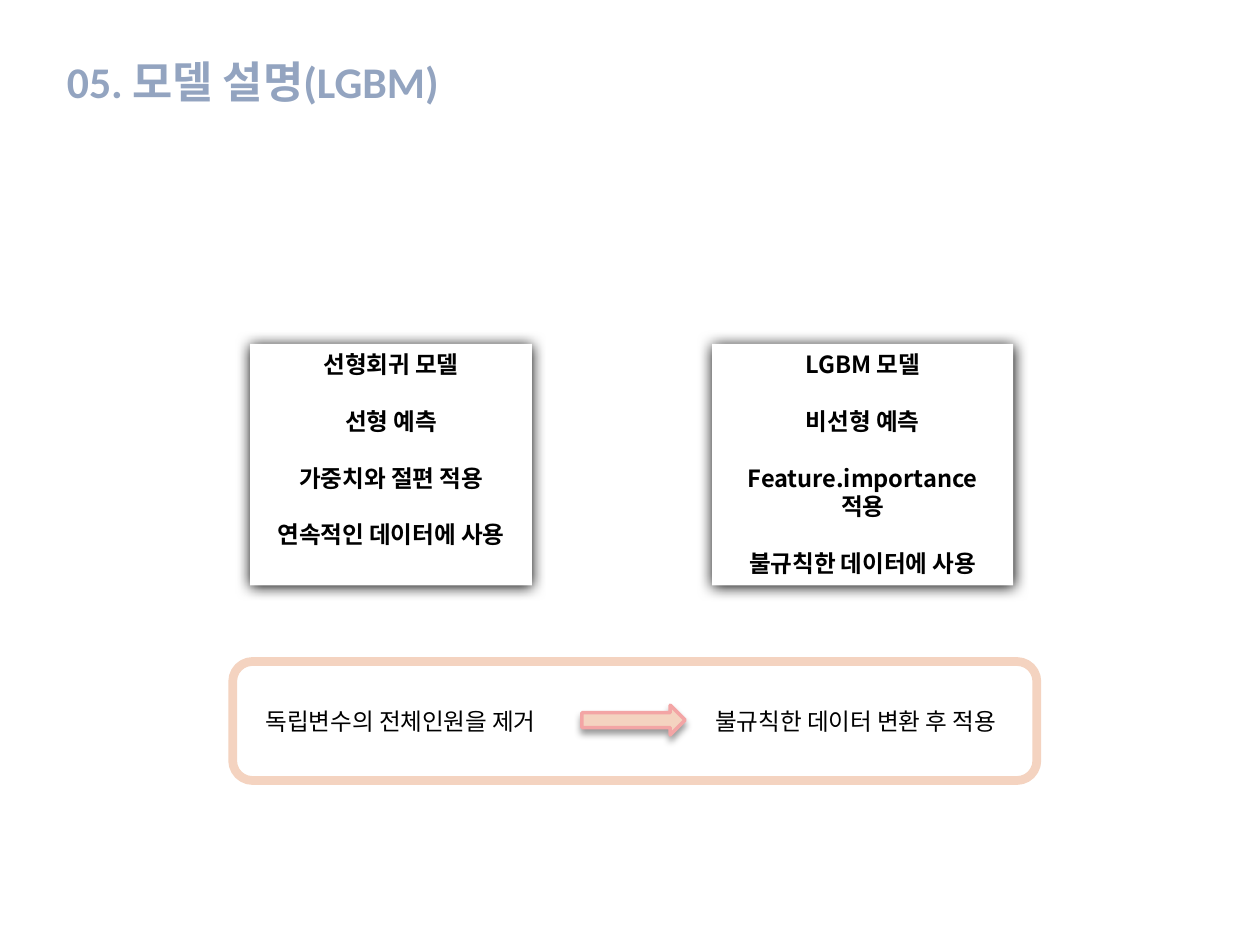
from dataclasses import dataclass

from lxml import etree
from pptx import Presentation
from pptx.dml.color import RGBColor
from pptx.enum import shapes, text
from pptx.oxml import ns
from pptx.util import Pt


@dataclass(frozen=True)
class Theme:
    title: str = "93A4C0"
    ink: str = "000000"
    paper: str = "FFFFFF"
    peach: str = "F4D3C0"
    pink: str = "F3A5A5"
    latin: str = "Calibri"
    korean: str = "Noto Sans CJK KR"
    title_size: float = 25
    body_size: float = 13.5
    line_height: float = 16.2


class Deck:
    def __init__(self, theme):
        self.t = theme
        self.prs = Presentation()
        self.prs.slide_width, self.prs.slide_height = Pt(720), Pt(540)
        self.s = self.prs.slides.add_slide(self.prs.slide_layouts[5])

    def font(self, p, size, color, name, bold=False):
        f = p.font
        f.size, f.bold, f.name = Pt(size), bold, name
        f.color.rgb = RGBColor.from_string(color)
        # Hangul takes its face from the East Asian font
        for r in p.runs:
            ea = etree.SubElement(r._r.get_or_add_rPr(), ns.qn("a:ea"))
            ea.set("typeface", self.t.korean)

    def shadow(self, sp, alpha, blur, dist):
        fx = sp._element.spPr.find(ns.qn("a:effectLst"))
        outer = etree.SubElement(
            fx, ns.qn("a:outerShdw"), blurRad=str(Pt(blur)), dist=str(Pt(dist)),
            dir="5400000", algn="ctr", rotWithShape="0")
        clr = etree.SubElement(outer, ns.qn("a:srgbClr"), val=self.t.ink)
        etree.SubElement(clr, ns.qn("a:alpha"), val=str(alpha * 1000))

    def shape(self, kind, box, fill, line=None, width=0):
        sp = self.s.shapes.add_shape(kind, *map(Pt, box))
        sp.shadow.inherit = False
        sp.fill.solid()
        sp.fill.fore_color.rgb = RGBColor.from_string(fill)
        if line:
            sp.line.color.rgb = RGBColor.from_string(line)
            sp.line.width = Pt(width)
        else:
            sp.line.fill.background()
        return sp

    def title(self, words, box):
        sp = self.s.shapes.title
        sp.left, sp.top, sp.width, sp.height = map(Pt, box)
        tf = sp.text_frame
        tf.text = words
        tf.word_wrap = True
        tf.auto_size = text.MSO_AUTO_SIZE.NONE
        tf.vertical_anchor = text.MSO_ANCHOR.MIDDLE
        p = tf.paragraphs[0]
        p.alignment = text.PP_ALIGN.LEFT
        self.font(p, self.t.title_size, self.t.title, self.t.latin, True)

    def card(self, lines, box):
        sp = self.shape(shapes.MSO_SHAPE.RECTANGLE, box, self.t.paper)
        self.shadow(sp, 100, 8.5, 1)
        tf = sp.text_frame
        tf.word_wrap = True
        tf.vertical_anchor = text.MSO_ANCHOR.TOP
        for i, words in enumerate(lines):
            p = tf.add_paragraph() if i else tf.paragraphs[0]
            p.text = words
            p.alignment = text.PP_ALIGN.CENTER
            p.line_spacing = Pt(self.t.line_height)
            if i:
                p.space_before = Pt(self.t.line_height)
            self.font(p, self.t.body_size, self.t.ink, self.t.korean, True)

    def banner(self, before, after, box, inset, tab):
        sp = self.shape(shapes.MSO_SHAPE.ROUNDED_RECTANGLE, box,
                        self.t.paper, self.t.peach, 5)
        tf = sp.text_frame
        tf.word_wrap = True
        tf.vertical_anchor = text.MSO_ANCHOR.MIDDLE
        tf.margin_left, tf.margin_right = Pt(inset), Pt(5)
        tf.margin_top = tf.margin_bottom = Pt(3)
        p = tf.paragraphs[0]
        p.text = f"{before}\t{after}"
        p.alignment = text.PP_ALIGN.LEFT
        tabs = etree.SubElement(p._p.get_or_add_pPr(), ns.qn("a:tabLst"))
        etree.SubElement(tabs, ns.qn("a:tab"), pos=str(Pt(tab)), algn="l")
        self.font(p, self.t.body_size, self.t.ink, self.t.latin)

    def arrow(self, box):
        sp = self.shape(shapes.MSO_SHAPE.RIGHT_ARROW, box,
                        self.t.peach, self.t.pink, 2)
        self.shadow(sp, 40, 4, 3)


def main():
    d = Deck(Theme())
    d.title("05. 모델 설명(LGBM)", (31, 15, 603, 63))

    # The two models side by side
    top, height = 196.5, 138
    d.card(["선형회귀 모델", "선형 예측", "가중치와 절편 적용",
            "연속적인 데이터에 사용"], (143, top, 161, height))
    d.card(["LGBM 모델", "비선형 예측", "Feature.importance 적용",
            "불규칙한 데이터에 사용"], (407, top, 172, height))

    # Data preparation step
    d.banner("독립변수의 전체인원을 제거", "불규칙한 데이터 변환 후 적용",
             (133, 378, 459.5, 68), inset=15.5, tab=257)
    d.arrow((332.5, 403, 59, 17))

    d.prs.save("out.pptx")


if __name__ == "__main__":
    main()
